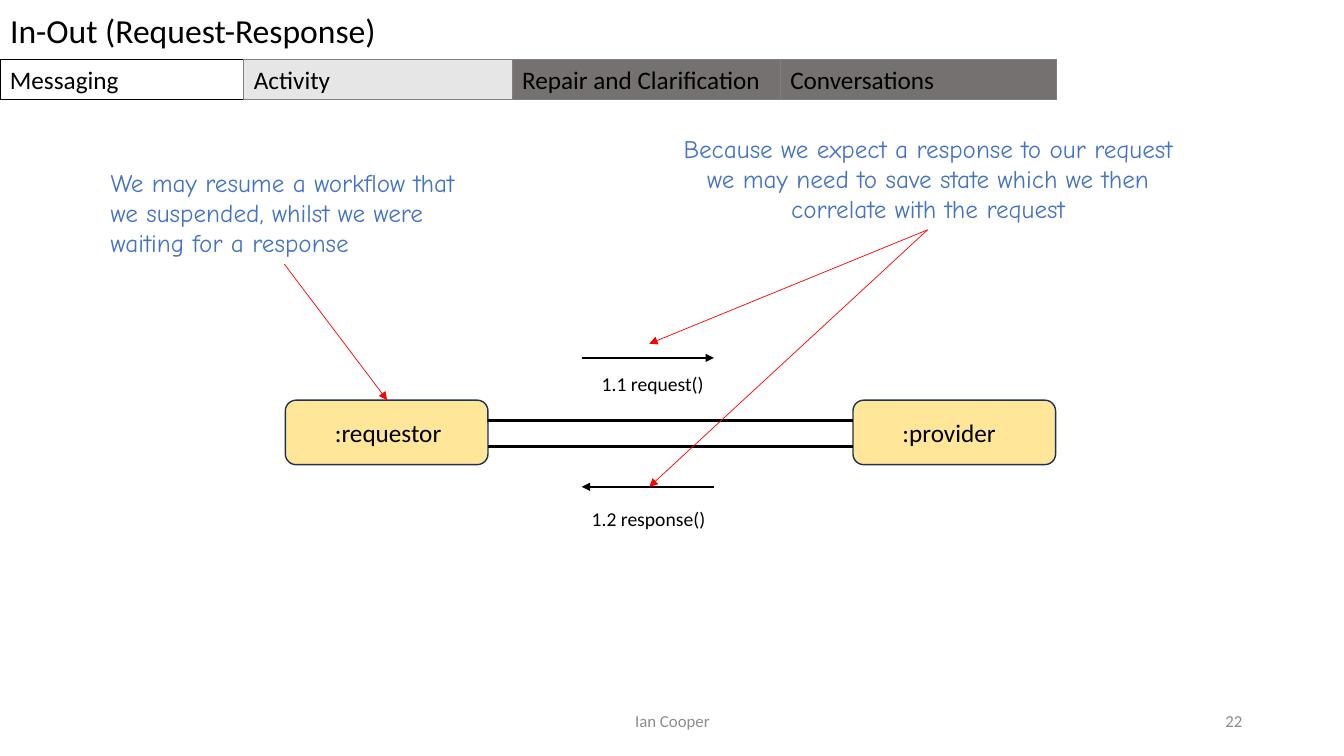
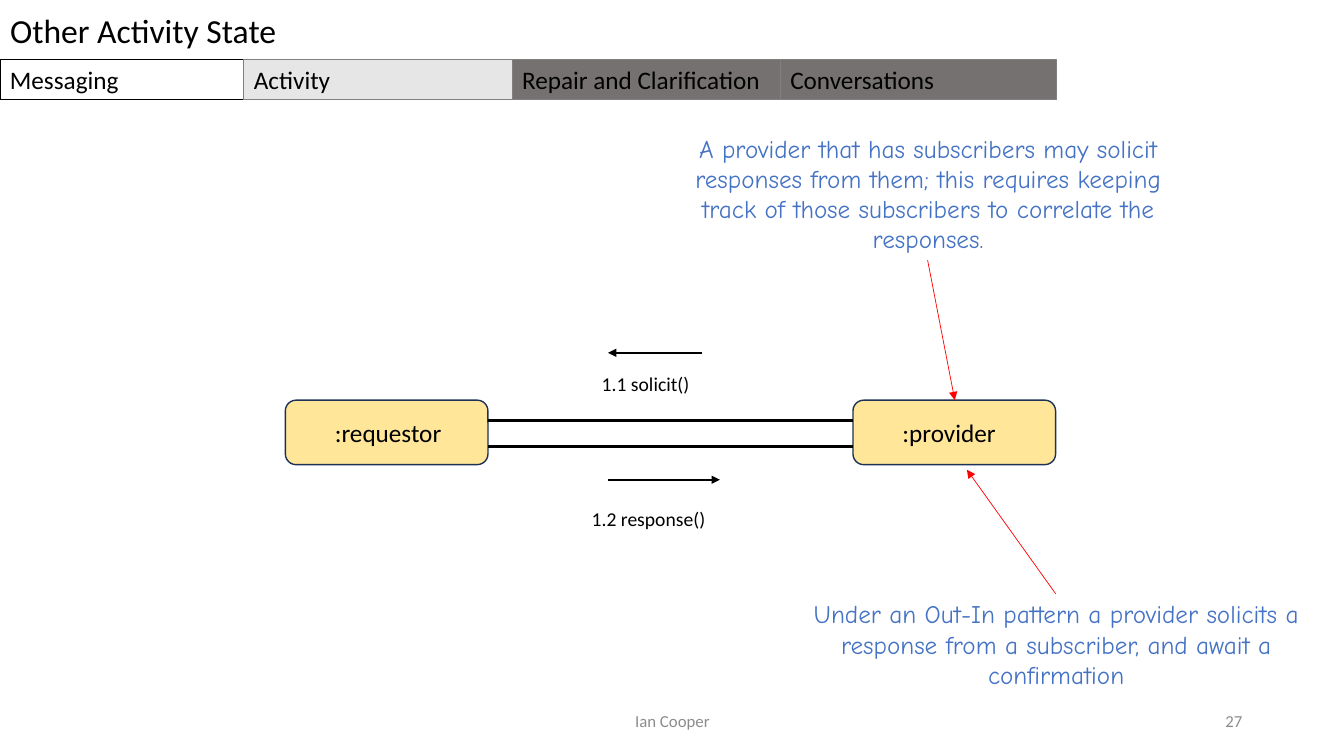
from lxml.etree import SubElement
from pptx import Presentation
from pptx.dml.color import RGBColor
from pptx.enum.shapes import MSO_CONNECTOR, MSO_SHAPE
from pptx.enum.text import MSO_ANCHOR, MSO_AUTO_SIZE, PP_ALIGN
from pptx.oxml.ns import qn
from pptx.util import Inches, Pt

# Shared style
FONT, NOTE_FONT = "Calibri", "Comic Neue"
BLACK, WHITE, RED = "000000", "FFFFFF", "FF0000"
BLUE, MUTED, GREY, DARK = "4472C4", "8C8C8C", "808080", "767171"
SAND, NAVY = "FFE699", "1E3256"
LEFT, MID, RIGHT = PP_ALIGN.LEFT, PP_ALIGN.CENTER, PP_ALIGN.RIGHT

# Tabs: text, width, fill, border
TABS = [
    ("Messaging", 2.42, WHITE, BLACK),
    ("Activity", 2.66, "E7E6E6", GREY),
    ("Repair and Clarification", 2.66, DARK, GREY),
    ("Conversations", 2.74, DARK, GREY),
]
TAB_TOP, TAB_HIGH = 0.59, 0.4

# Nodes and the pipe between them
NODES = [(":requestor", 2.83), (":provider", 8.46)]
NODE_TOP, NODE_WIDE, NODE_HIGH = 3.97, 2.01, 0.64
PIPE_TOPS = (4.17, 4.43)


def color(code):
    return RGBColor.from_string(code)


def write(shape, text, size, tint=BLACK, align=LEFT, font=FONT,
          anchor=MSO_ANCHOR.MIDDLE):
    frame = shape.text_frame
    frame.text = text
    frame.word_wrap = True
    frame.auto_size = MSO_AUTO_SIZE.NONE
    frame.vertical_anchor = anchor
    para = frame.paragraphs[0]
    para.alignment = align
    para.font.name = font
    para.font.size = Pt(size)
    para.font.color.rgb = color(tint)


def add_text(slide, box, text, size, **style):
    shape = slide.shapes.add_textbox(*map(Inches, box))
    write(shape, text, size, **style)


def add_box(slide, kind, box, fill, edge, width, text):
    shape = slide.shapes.add_shape(kind, *map(Inches, box))
    shape.shadow.inherit = False
    shape.fill.solid()
    shape.fill.fore_color.rgb = color(fill)
    shape.line.color.rgb = color(edge)
    shape.line.width = Pt(width)
    write(shape, text, 18)
    return shape


def add_line(slide, start, end, tint, width, arrow=True):
    line = slide.shapes.add_connector(
        MSO_CONNECTOR.STRAIGHT, *map(Inches, (*start, *end)))
    line.line.color.rgb = color(tint)
    line.line.width = Pt(width)
    props = line._element.spPr
    if arrow:
        SubElement(props.find(qn("a:ln")), qn("a:tailEnd"), type="triangle")
    SubElement(props, qn("a:effectLst"))


def add_note(slide, box, text, align=MID):
    add_text(slide, box, text, 18, tint=BLUE, align=align,
             font=NOTE_FONT, anchor=MSO_ANCHOR.TOP)


def point(slide, start, end):
    add_line(slide, start, end, RED, 0.5)


def add_call(slide, start, end, y, spot, text):
    """Draw a message arrow and its label."""
    add_line(slide, (start, y), (end, y), BLACK, 1.5)
    add_text(slide, (*spot, 1.73, 0.34), text, 14)


def add_tabs(slide):
    left = 0
    for text, width, fill, edge in TABS:
        add_box(slide, MSO_SHAPE.RECTANGLE, (left, TAB_TOP, width, TAB_HIGH),
                fill, edge, 0.75, text)
        left += width


def add_nodes(slide):
    for text, left in NODES:
        node = add_box(slide, MSO_SHAPE.ROUNDED_RECTANGLE,
                       (left, NODE_TOP, NODE_WIDE, NODE_HIGH),
                       SAND, NAVY, 1, text)
        node.text_frame.margin_left = Inches(0.46)
    for y in PIPE_TOPS:
        add_line(slide, (NODES[0][1] + NODE_WIDE, y), (NODES[1][1], y),
                 BLACK, 2.5, arrow=False)


def add_slide(deck, title, number):
    """Start a slide with title, footer, tabs and nodes."""
    slide = deck.slides.add_slide(deck.slide_layouts[5])
    head = slide.shapes.title
    head.left, head.top, head.width, head.height = map(
        Inches, (0, -0.01, 13.33, 0.61))
    write(head, title, 24)
    add_text(slide, (4.42, 6.95, 4.5, 0.4), "Ian Cooper", 12,
             tint=MUTED, align=MID)
    add_text(slide, (9.42, 6.95, 3, 0.4), str(number), 12,
             tint=MUTED, align=RIGHT)
    add_tabs(slide)
    add_nodes(slide)
    return slide


def show_request(deck):
    slide = add_slide(deck, "In-Out (Request-Response)", 22)
    add_call(slide, 5.77, 7.08, 3.55, (5.87, 3.64), "1.1 request()")
    add_call(slide, 7.08, 5.77, 4.83, (5.77, 4.98), "1.2 response()")
    add_note(slide, (6.67, 1.27, 5.07, 1.01),
             "Because we expect a response to our request we may need to "
             "save state which we then correlate with the request")
    add_note(slide, (1, 1.61, 3.64, 1.01),
             "We may resume a workflow that we suspended, whilst we were "
             "waiting for a response", LEFT)
    for y in (3.41, 4.83):
        point(slide, (9.2, 2.28), (6.44, y))
    point(slide, (2.82, 2.62), (3.84, NODE_TOP))


def show_solicit(deck):
    slide = add_slide(deck, "Other Activity State", 27)
    add_call(slide, 6.96, 6.03, 3.5, (5.87, 3.64), "1.1 solicit()")
    add_call(slide, 6.03, 7.14, 4.76, (5.77, 4.98), "1.2 response()")
    add_note(slide, (6.67, 1.27, 5.07, 1.31),
             "A provider that has subscribers may solicit responses from "
             "them; this requires keeping track of those subscribers to "
             "correlate the responses.")
    add_note(slide, (7.94, 5.89, 5.07, 1.01),
             "Under an Out-In pattern a provider solicits a response from "
             "a subscriber, and await a confirmation")
    point(slide, (9.2, 2.58), (9.47, NODE_TOP))
    point(slide, (10.47, 5.89), (9.59, 4.66))


def main():
    deck = Presentation()
    deck.slide_width, deck.slide_height = Inches(13.33), Inches(7.5)
    show_request(deck)
    show_solicit(deck)
    deck.save("out.pptx")


if __name__ == "__main__":
    main()
